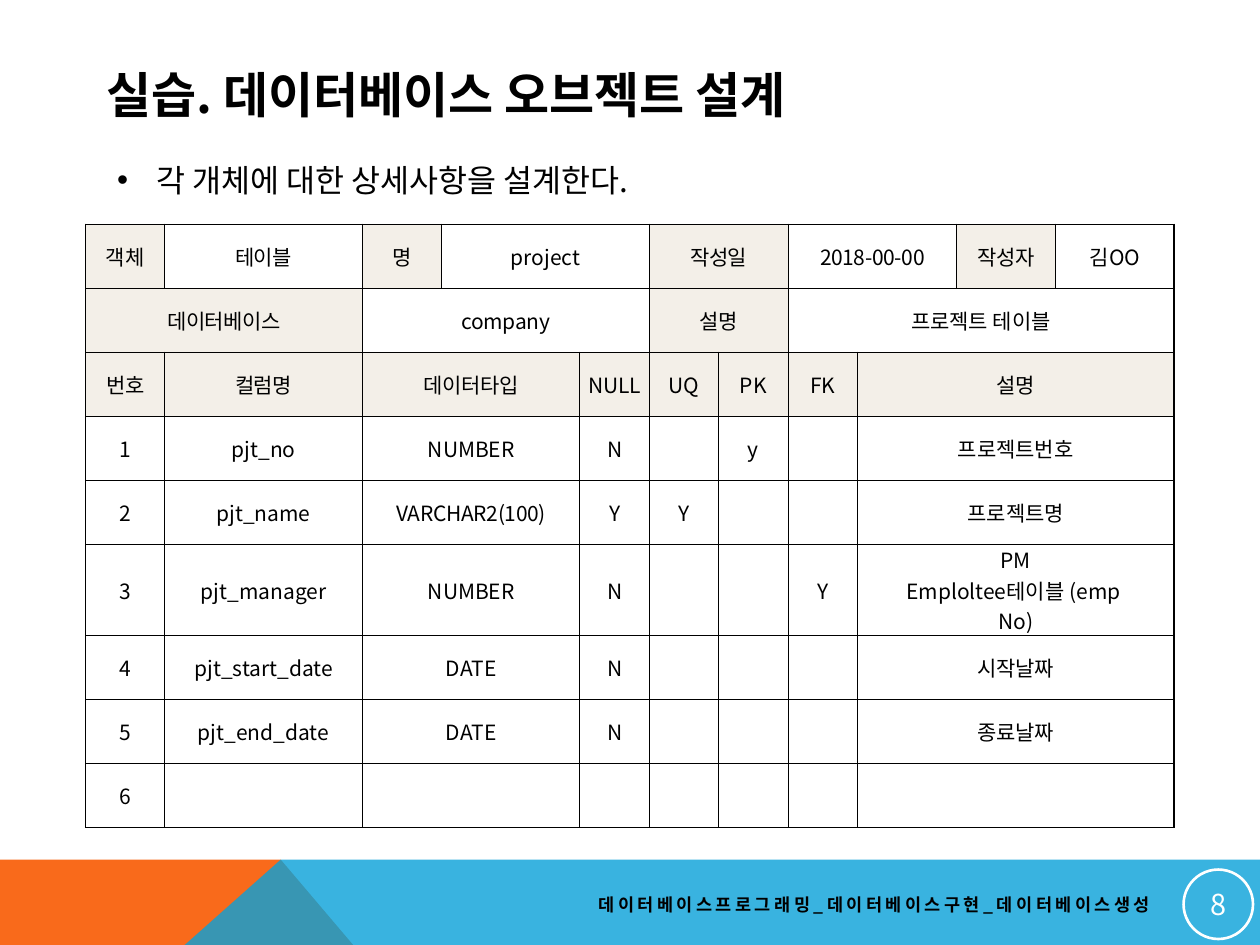
from dataclasses import dataclass

from lxml.etree import SubElement
from pptx import Presentation
from pptx.dml.color import RGBColor
from pptx.enum.shapes import MSO_SHAPE
from pptx.enum.text import MSO_ANCHOR, MSO_AUTO_SIZE, PP_ALIGN
from pptx.oxml.ns import qn
from pptx.util import Cm, Pt

FONT = "Noto Sans CJK KR"
BLACK, WHITE, SAND = "000000", "FFFFFF", "F3EFE8"
WIDE, HIGH = 25.4, 19.05
BAND, BLEED, PEAK = 17.33, 22.36, 5.66
COLS = (1.59, 3.99, 1.59, 2.79, 1.4, 1.4, 1.4, 1.4, 2, 2, 2.38)
ROW = 1.29


@dataclass
class Cell:
    """A table entry, the columns it covers and its fill."""
    text: str
    span: int = 1
    fill: str = WHITE


@dataclass
class Label:
    """A text box, its place in centimetres and its look."""
    text: str
    x: float
    y: float
    w: float
    h: float
    size: float
    bold: bool = False
    gap: float = 0
    align: PP_ALIGN = PP_ALIGN.LEFT
    anchor: MSO_ANCHOR = MSO_ANCHOR.MIDDLE
    bullet: bool = False


def head(text: str, span: int = 1) -> Cell:
    """Make a shaded heading cell."""
    return Cell(text, span, SAND)


def field(name: str = "", kind: str = "", null: str = "", uniq: str = "",
          prime: str = "", fore: str = "", note: str = "") -> list[Cell]:
    """Make the cells that describe one column, after its number."""
    return [Cell(name), Cell(kind, 2), Cell(null), Cell(uniq), Cell(prime),
            Cell(fore), Cell(note, 3)]


FIELDS = [
    field("pjt_no", "NUMBER", "N", prime="y", note="프로젝트번호"),
    field("pjt_name", "VARCHAR2(100)", "Y", uniq="Y", note="프로젝트명"),
    field("pjt_manager", "NUMBER", "N", fore="Y",
          note="PM\nEmploltee테이블 (emp \nNo)"),
    field("pjt_start_date", "DATE", "N", note="시작날짜"),
    field("pjt_end_date", "DATE", "N", note="종료날짜"),
    field(),
]
GRID = [
    [head("객체"), Cell("테이블"), head("명"), Cell("project", 2),
     head("작성일", 2), Cell("2018-00-00", 2), head("작성자"), Cell("김OO")],
    [head("데이터베이스", 2), Cell("company", 3), head("설명", 2),
     Cell("프로젝트 테이블", 4)],
    [head("번호"), head("컬럼명"), head("데이터타입", 2), head("NULL"),
     head("UQ"), head("PK"), head("FK"), head("설명", 3)],
    *([Cell(str(num)), *row] for num, row in enumerate(FIELDS, 1)),
]
TIGHT = {"테이블", "작성일", "2018-00-00", "작성자", "김OO", "데이터베이스",
         "company", "설명", "번호", "컬럼명", "데이터타입", "FK", "y", "Y",
         "VARCHAR2(100)", *"123456"}
LABELS = [
    Label("각 개체에 대한 상세사항을 설계한다.", 2.11, 3.12, 11.99, 1.02, 18,
          anchor=MSO_ANCHOR.TOP, bullet=True),
    Label("데이터베이스프로그래밍_데이터베이스구현_데이터베이스생성",
          10.3, 17.86, 13.13, 0.76, 10, True, 2, PP_ALIGN.RIGHT),
    Label("실습. 데이터베이스 오브젝트 설계", 1.9, 1.13, 20.88, 1.52, 28, True),
]


def tint(value: str) -> RGBColor:
    """Turn a hex string into a colour."""
    return RGBColor.from_string(value)


def write(para, text: str, size: float, color: str = BLACK,
          bold: bool = False, gap: float = 0) -> None:
    """Add one run; gap is the letter spacing in points."""
    run = para.add_run()
    run.text = text
    font = run.font
    font.size, font.bold, font.name = Pt(size), bold, FONT
    font.color.rgb = tint(color)
    props = run._r.get_or_add_rPr()
    SubElement(props, qn("a:ea")).set("typeface", FONT)
    if gap:
        props.set("spc", str(round(gap * 100)))


def edge(cell) -> None:
    """Draw a thin black line on all four sides of a cell."""
    props = cell._tc.get_or_add_tcPr()
    for pos, side in enumerate(("lnL", "lnR", "lnT", "lnB")):
        line = SubElement(props, qn(f"a:{side}"), w=str(Pt(0.75)))
        fill = SubElement(line, qn("a:solidFill"))
        SubElement(fill, qn("a:srgbClr"), val=BLACK)
        props.insert(pos, line)


def fill_cell(cell, item: Cell) -> None:
    """Set the text and margins of a cell."""
    cell.vertical_anchor = MSO_ANCHOR.MIDDLE
    cell.margin_left = cell.margin_right = Cm(0.15)
    cell.margin_top = cell.margin_bottom = 0
    frame = cell.text_frame
    for num, text in enumerate(item.text.split("\n")):
        para = frame.add_paragraph() if num else frame.paragraphs[0]
        para.alignment = PP_ALIGN.CENTER
        if text:
            write(para, text, 12, gap=-0.2 if text in TIGHT else 0)


def draw_table(slide) -> None:
    """Draw the design sheet."""
    frame = slide.shapes.add_table(len(GRID), len(COLS), Cm(1.73), Cm(4.52),
                                   Cm(sum(COLS)), Cm(ROW * len(GRID)))
    table = frame.table
    table.first_row = table.horz_banding = False
    for col, width in zip(table.columns, COLS):
        col.width = Cm(width)
    for r, items in enumerate(GRID):
        table.rows[r].height = Cm(ROW)
        c = 0
        for item in items:
            last = c + item.span - 1
            for k in range(c, last + 1):
                part = table.cell(r, k)
                part.fill.solid()
                part.fill.fore_color.rgb = tint(item.fill)
                edge(part)
            if item.span > 1:
                table.cell(r, c).merge(table.cell(r, last))
            fill_cell(table.cell(r, c), item)
            c = last + 1


def draw_band(slide, points: list[tuple[float, float]], color: str,
              alpha: int = 100) -> None:
    """Draw a filled outline; alpha is its opacity in percent."""
    dots = [(Cm(x), Cm(y)) for x, y in points]
    path = slide.shapes.build_freeform(*dots[0])
    path.add_line_segments(dots[1:], close=True)
    shape = path.convert_to_shape()
    shape.shadow.inherit = False
    shape.line.fill.background()
    shape.fill.solid()
    shape.fill.fore_color.rgb = tint(color)
    if alpha < 100:
        paint = shape._element.spPr.find(".//" + qn("a:srgbClr"))
        SubElement(paint, qn("a:alpha"), val=str(alpha * 1000))


def draw_label(slide, item: Label) -> None:
    """Draw a text box."""
    box = slide.shapes.add_textbox(Cm(item.x), Cm(item.y), Cm(item.w), Cm(item.h))
    frame = box.text_frame
    frame.word_wrap = not item.bullet
    frame.vertical_anchor = item.anchor
    para = frame.paragraphs[0]
    para.alignment = item.align
    if item.bullet:
        frame.auto_size = MSO_AUTO_SIZE.SHAPE_TO_FIT_TEXT
        props = para._p.get_or_add_pPr()
        props.set("marL", str(Cm(0.79)))
        props.set("indent", str(-Cm(0.79)))
        SubElement(props, qn("a:buFont"), typeface="Arial")
        SubElement(props, qn("a:buChar"), char="•")
    write(para, item.text, item.size, bold=item.bold, gap=item.gap)


def draw_badge(slide) -> None:
    """Draw the ringed page number."""
    ring = slide.shapes.add_shape(MSO_SHAPE.OVAL, Cm(23.86), Cm(17.53), Cm(1.4), Cm(1.4))
    ring.shadow.inherit = False
    ring.fill.background()
    ring.line.color.rgb = tint(WHITE)
    ring.line.width = Pt(1.5)
    frame = ring.text_frame
    frame.margin_left = frame.margin_right = Cm(0.03)
    frame.margin_top = frame.margin_bottom = Cm(0.03)
    frame.vertical_anchor = MSO_ANCHOR.MIDDLE
    para = frame.paragraphs[0]
    para.alignment = PP_ALIGN.CENTER
    write(para, "8", 16.5, WHITE)


deck = Presentation()
deck.slide_width, deck.slide_height = Cm(WIDE), Cm(HIGH)
page = deck.slides.add_slide(deck.slide_layouts[6])
draw_band(page, [(0, BLEED), (0, BAND), (PEAK, BAND), (9.93, BLEED)], "F96A1B")
draw_band(page, [(0, BLEED), (PEAK, BAND), (WIDE, BAND), (WIDE, BLEED)], "08A1D9", 80)
draw_table(page)
draw_badge(page)
for label in LABELS:
    draw_label(page, label)
deck.save("out.pptx")
